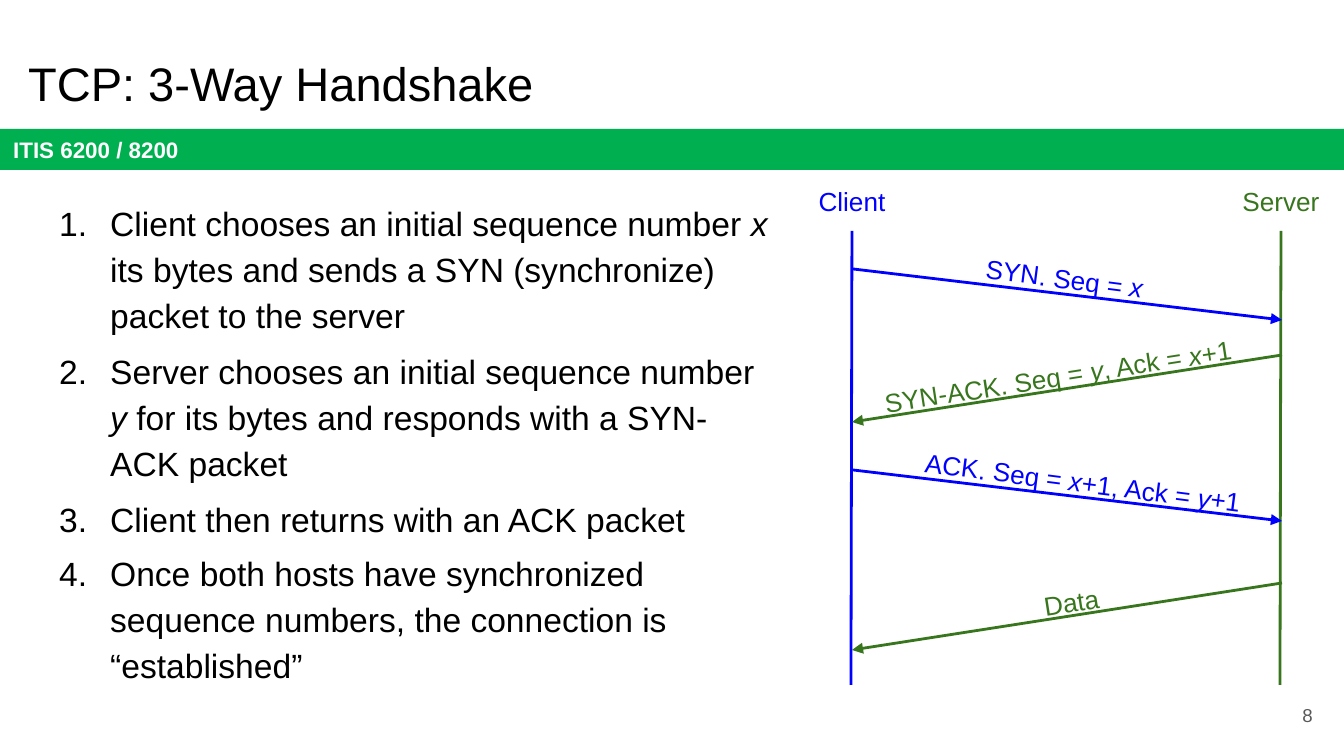
from lxml.etree import SubElement
from pptx import Presentation
from pptx.dml.color import RGBColor
from pptx.enum.shapes import MSO_CONNECTOR, MSO_SHAPE
from pptx.enum.text import MSO_ANCHOR, PP_ALIGN
from pptx.oxml.ns import qn
from pptx.util import Emu, Pt

CLIENT, SERVER, BAND = "0000FF", "38761D", "00B050"
BLACK, WHITE, GREY = "000000", "FFFFFF", "595959"


def px(length):
    """Turn picture pixels into EMU."""
    return Emu(round(length * 914400 / 134.4))


def colour(value):
    """Turn a hex string into a colour."""
    return RGBColor.from_string(value)


def write(frame, text, size=14, color=BLACK, bold=False, align=PP_ALIGN.LEFT,
          anchor=MSO_ANCHOR.TOP, bottom=13.44, spacing=None, number=None):
    """Fill a frame with text whose *starred* parts are italic."""
    frame.word_wrap = True
    frame.vertical_anchor = anchor
    frame.margin_left = frame.margin_right = frame.margin_top = px(13.44)
    frame.margin_bottom = px(bottom)
    paragraph = frame.paragraphs[0]
    paragraph.alignment = align
    if spacing:
        paragraph.line_spacing = spacing
    if number:
        properties = paragraph._p.get_or_add_pPr()
        properties.set("marL", str(px(67)))
        properties.set("indent", str(px(-51)))
        bullet_color = SubElement(properties, qn("a:buClr"))
        SubElement(bullet_color, qn("a:srgbClr"), val=color)
        SubElement(properties, qn("a:buFont"), typeface="Arial")
        SubElement(properties, qn("a:buAutoNum"), type="arabicPeriod", startAt=str(number))
    for index, part in enumerate(text.split("*")):
        if part:
            run = paragraph.add_run()
            run.text = part
            run.font.name = "Arial"
            run.font.size = Pt(size)
            run.font.bold = bold
            run.font.italic = index % 2 == 1
            run.font.color.rgb = colour(color)


class Painter:
    """Hold the line style and the current slide."""

    def __init__(self, slide, line_width=1.5):
        """Keep the slide and the line width."""
        self.slide = slide
        self.line_width = Pt(line_width)

    def text(self, left, top, width, height, words, rotation=0, **style):
        """Add a text box."""
        box = self.slide.shapes.add_textbox(px(left), px(top), px(width), px(height))
        box.rotation = rotation
        write(box.text_frame, words, **style)

    def band(self, left, top, width, height, words, fill, **style):
        """Add a filled rectangle with text."""
        bar = self.slide.shapes.add_shape(
            MSO_SHAPE.RECTANGLE, px(left), px(top), px(width), px(height))
        bar.shadow.inherit = False
        bar.fill.solid()
        bar.fill.fore_color.rgb = colour(fill)
        bar.line.fill.background()
        write(bar.text_frame, words, **style)

    def line(self, start, end, color, arrow=False):
        """Add a straight line, with an arrowhead at its end if asked."""
        points = [px(value) for value in (*start, *end)]
        line = self.slide.shapes.add_connector(MSO_CONNECTOR.STRAIGHT, *points)
        line.line.width = self.line_width
        line.line.color.rgb = colour(color)
        if arrow:
            SubElement(line.line._get_or_add_ln(), qn("a:tailEnd"), type="triangle")
        SubElement(line._element.spPr, qn("a:effectLst"))


deck = Presentation()
deck.slide_width, deck.slide_height = px(1344), px(756)
painter = Painter(deck.slides.add_slide(deck.slide_layouts[6]))

painter.band(0, 129, 1344, 41, "ITIS 6200 / 8200", BAND, size=12, color=WHITE,
             bold=True, anchor=MSO_ANCHOR.MIDDLE)
painter.text(1246, 686, 80, 58, "8", size=10, color=GREY, align=PP_ALIGN.RIGHT,
             anchor=MSO_ANCHOR.MIDDLE)
painter.text(15, 41, 1253, 85, "TCP: 3-Way Handshake", size=25.2)

steps = [
    ("Client chooses an initial sequence number *x* its bytes and sends a SYN "
     "(synchronize) packet to the server", 148),
    ("Server chooses an initial sequence number *y* for its bytes and responds "
     "with a SYN-ACK packet", 148),
    ("Client then returns with an ACK packet", 54),
    ("Once both hosts have synchronized sequence numbers, the connection is "
     "“established”", 148),
]
step_top = 183
for number, (step, height) in enumerate(steps, 1):
    painter.text(30, step_top, 755, height, step, size=18, bottom=0, spacing=1.15,
                 number=number)
    step_top += height

hosts = [("Client", 797, 852, 851, CLIENT), ("Server", 1226, 1281, 1280, SERVER)]
for host, left, line_top, line_bottom, color in hosts:
    painter.text(left, 172, 110, 59, host, color=color, align=PP_ALIGN.CENTER)
    painter.line((line_top, 231), (line_bottom, 685), color)

routes = {CLIENT: (853, 1282, 51, 7.3), SERVER: (1282, 852, 67, -8.8)}
messages = [
    ("SYN. Seq = *x*", CLIENT, 269, 961, 249, 207),
    ("SYN-ACK. Seq = *y*, Ack = *x*+1", SERVER, 355, 866, 347, 384),
    ("ACK. Seq = *x*+1, Ack = *y*+1", CLIENT, 470, 902, 453, 362),
    ("Data", SERVER, 583, 867, 573, 409),
]
for message, color, start_y, left, top, width in messages:
    start_x, end_x, drop, angle = routes[color]
    painter.line((start_x, start_y), (end_x, start_y + drop), color, arrow=True)
    painter.text(left, top, width, 59, message, rotation=angle, color=color,
                 align=PP_ALIGN.CENTER)

deck.save("out.pptx")
